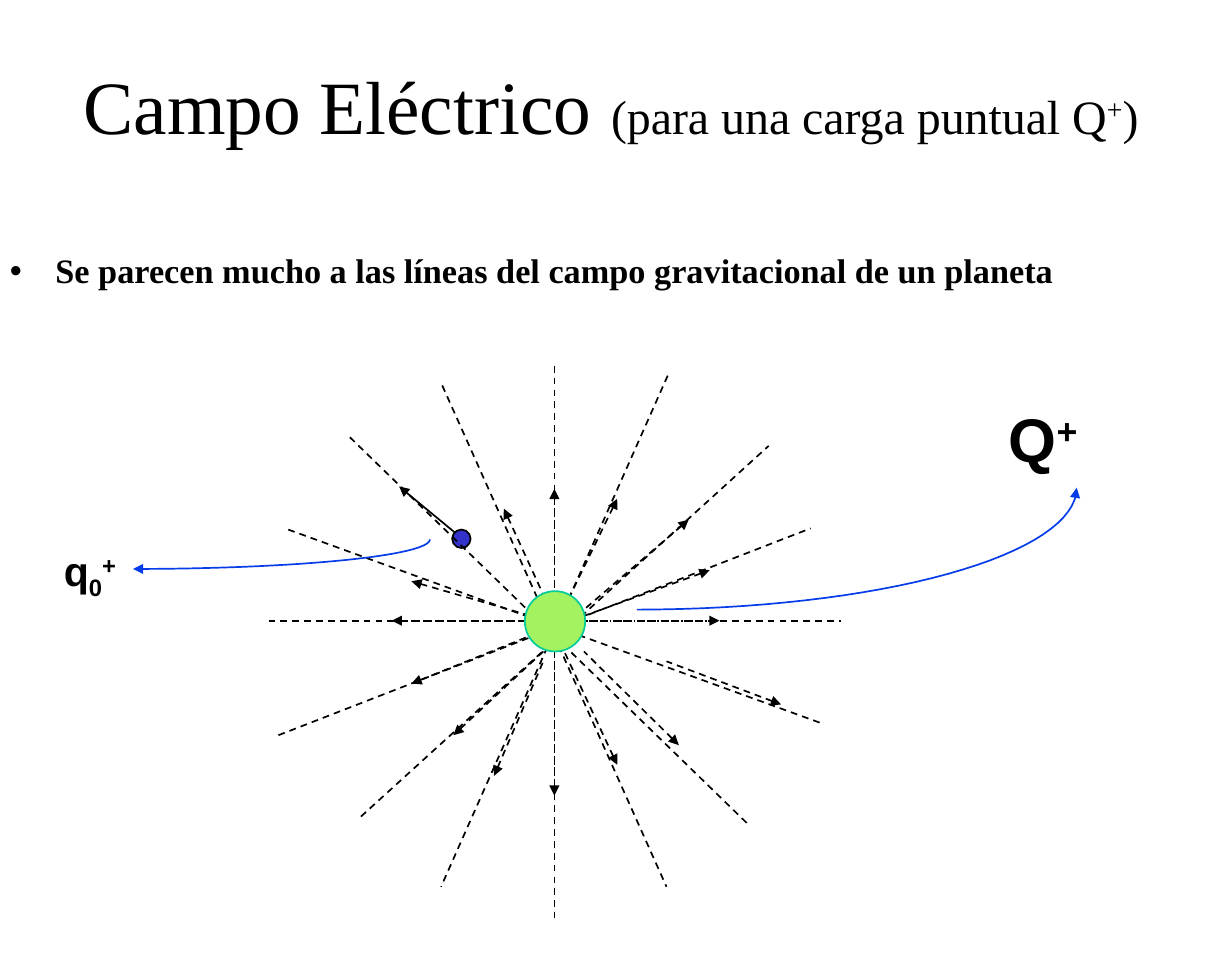
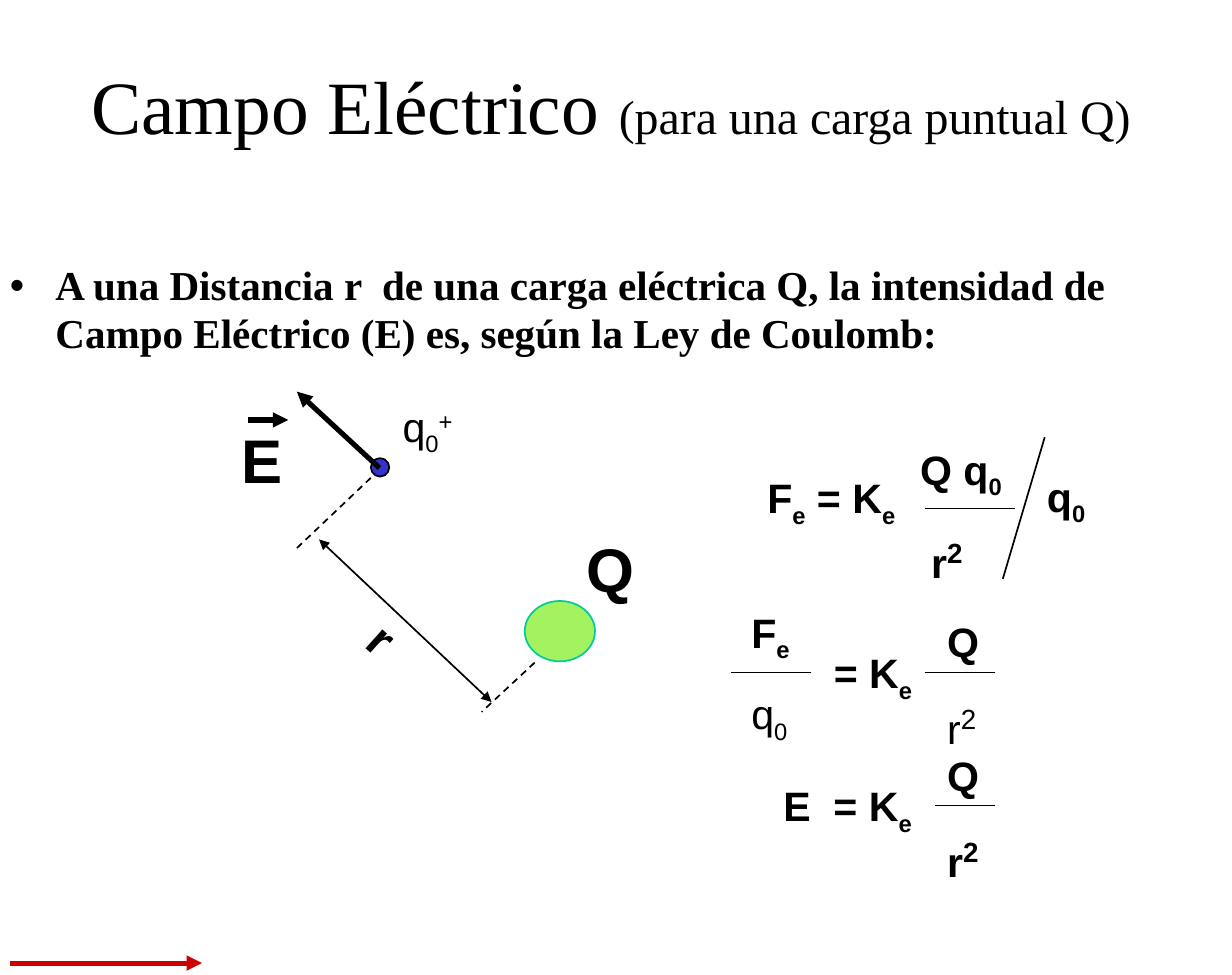
import math
from dataclasses import dataclass

from lxml import etree
from pptx import Presentation
from pptx.dml.color import RGBColor
from pptx.enum.dml import MSO_LINE
from pptx.enum.shapes import MSO_CONNECTOR, MSO_SHAPE
from pptx.enum.text import MSO_ANCHOR, MSO_AUTO_SIZE, PP_ALIGN
from pptx.oxml.ns import qn
from pptx.util import Inches, Pt

STRAIGHT = MSO_CONNECTOR.STRAIGHT
ELLIPSE = MSO_SHAPE.OVAL
DASH = MSO_LINE.DASH
DOT = MSO_LINE.ROUND_DOT
MIDDLE = MSO_ANCHOR.MIDDLE
NO_AUTOFIT = MSO_AUTO_SIZE.NONE
CENTER = PP_ALIGN.CENTER
LEFT = PP_ALIGN.LEFT


@dataclass(frozen=True)
class Theme:
    ink: str = "000000"
    charge: str = "A3F25F"
    charge_edge: str = "00CC99"
    probe: str = "3333CC"
    pointer: str = "063DE8"
    accent: str = "CC0000"
    serif: str = "Times New Roman"
    sans: str = "Arial"
    title: int = 44
    subtitle: int = 28
    bullet: int = 20
    bullet_large: int = 24
    symbol: int = 36
    distance: int = 28
    formula: int = 24
    exponent: int = 28
    thin: int = 1
    thick: int = 3
    line_spacing: float = 0.97


THEME = Theme()
BASELINES = {"_": -25000, "^": 30000}  # the mark shifts the next character


@dataclass(frozen=True)
class Formula:
    """One line of a formula, with _ and ^ marking sub- and superscripts."""
    markup: str
    size: int = THEME.formula
    bold: bool = True
    indent: float = 0
    exponent_size: int = 0
    space_before: float = 0


# ---------- text ----------

def split_markup(markup):
    """Return [text, baseline] pairs, such as q_0 -> [q, 0], [0, -25000]."""
    pieces, baseline = [], 0
    for character in markup:
        if character in BASELINES:
            baseline = BASELINES[character]
        elif baseline or not pieces or pieces[-1][1]:
            pieces.append([character, baseline])
            baseline = 0
        else:
            pieces[-1][0] += character
    return pieces


def add_runs(paragraph, markup, font_name, size, bold=False, exponent_size=0):
    for text, baseline in split_markup(markup):
        run = paragraph.add_run()
        run.text = text
        font = run.font
        font.name = font_name
        font.size = Pt(exponent_size if baseline > 0 and exponent_size else size)
        font.bold = bold
        font.color.rgb = RGBColor.from_string(THEME.ink)
        if baseline:
            run._r.get_or_add_rPr().set("baseline", str(baseline))


def place_placeholder(placeholder, left, top, width, height):
    placeholder.left, placeholder.top = Inches(left), Inches(top)
    placeholder.width, placeholder.height = Inches(width), Inches(height)
    text_frame = placeholder.text_frame
    text_frame.auto_size = NO_AUTOFIT
    text_frame.margin_left = text_frame.margin_right = 0
    text_frame.margin_top = text_frame.margin_bottom = 0
    paragraph = text_frame.paragraphs[0]
    paragraph.line_spacing = THEME.line_spacing
    paragraph.space_before = Pt(0)
    return paragraph


def set_title(slide, subtitle):
    title = slide.shapes.title
    paragraph = place_placeholder(title, 0, 0.46, 9.92, 0.83)
    title.text_frame.vertical_anchor = MIDDLE
    paragraph.alignment = CENTER
    add_runs(paragraph, "Campo Eléctrico ", THEME.serif, THEME.title)
    add_runs(paragraph, subtitle, THEME.serif, THEME.subtitle)


def set_bullet(slide, text, top, height, size):
    paragraph = place_placeholder(slide.placeholders[1], 0.08, top, 9.83, height)
    properties = paragraph._p.get_or_add_pPr()
    properties.set("marL", str(Inches(0.37)))
    properties.set("indent", str(-Inches(0.37)))
    paragraph.alignment = LEFT
    add_runs(paragraph, text, THEME.serif, size, bold=True)


def add_formula(slide, left, top, width, height, *formulas, rotation=0):
    box = slide.shapes.add_textbox(
        Inches(left), Inches(top), Inches(width), Inches(height))
    box.rotation = rotation
    text_frame = box.text_frame
    text_frame.word_wrap = True
    for index, formula in enumerate(formulas):
        paragraph = text_frame.add_paragraph() if index else text_frame.paragraphs[0]
        if formula.indent:
            paragraph._p.get_or_add_pPr().set("marL", str(Inches(formula.indent)))
        paragraph.space_before = Pt(formula.space_before)
        add_runs(paragraph, formula.markup, THEME.sans, formula.size,
                 formula.bold, formula.exponent_size)


def add_fraction(slide, left, top, width, height, numerator, denominator, bar):
    add_formula(slide, left, top, width, height, numerator, denominator)
    bar_left, bar_right, bar_top = bar
    add_line(slide, (bar_left, bar_top), (bar_right, bar_top))


# ---------- lines and shapes ----------

def style_line(shape, color, width, dash=None, head=False, tail=False):
    line = shape.line
    line.color.rgb = RGBColor.from_string(color)
    line.width = Pt(width)
    if dash:
        line.dash_style = dash
    for wanted, tag in ((head, "a:headEnd"), (tail, "a:tailEnd")):
        if wanted:
            etree.SubElement(line._get_or_add_ln(), qn(tag), type="triangle")


def add_line(slide, start, end, color=THEME.ink, width=THEME.thin, **ends):
    x1, y1, x2, y2 = (Inches(value) for value in (*start, *end))
    connector = slide.shapes.add_connector(STRAIGHT, x1, y1, x2, y2)
    style_line(connector, color, width, **ends)
    etree.SubElement(connector._element.spPr, qn("a:effectLst"))


def add_ball(slide, left, top, width, height, fill, edge):
    ball = slide.shapes.add_shape(
        ELLIPSE, Inches(left), Inches(top), Inches(width), Inches(height))
    ball.shadow.inherit = False
    ball.fill.solid()
    ball.fill.fore_color.rgb = RGBColor.from_string(fill)
    style_line(ball, edge, THEME.thin)


def add_charge(slide, left, top, width):
    add_ball(slide, left, top, width, 0.49, THEME.charge, THEME.charge_edge)


def add_probe(slide, left, top):
    add_ball(slide, left, top, 0.15, 0.15, THEME.probe, THEME.ink)


def add_pointer(slide, left, top, width, height, steps=32, **ends):
    """Draw the lower right quarter of an ellipse, from right to bottom."""
    angles = [math.pi / 2 * step / steps for step in range(steps + 1)]
    points = [(Inches(left + width * math.cos(angle)),
               Inches(top + height * math.sin(angle))) for angle in angles]
    builder = slide.shapes.build_freeform(*points[0])
    builder.add_line_segments(points[1:], close=False)
    curve = builder.convert_to_shape()
    curve.shadow.inherit = False
    curve.fill.background()
    style_line(curve, THEME.pointer, THEME.thin, **ends)


# ---------- slides ----------

# Both ends of each field line through the charge
FIELD_LINES = [
    ((2.93, 6.63), (6.24, 3.62)), ((4.5, 2.97), (4.5, 7.45)),
    ((3.59, 3.13), (5.41, 7.2)), ((2.84, 3.55), (6.08, 6.7)),
    ((2.34, 4.3), (6.66, 5.87)), ((2.18, 5.04), (6.83, 5.04)),
    ((2.26, 5.97), (6.58, 4.29)), ((5.42, 3.05), (3.58, 7.2)),
]

# Tip and foot of each dashed field arrow
FIELD_ARROWS = [
    ((4.09, 4.13), (4.58, 5.2)), ((4.5, 3.97), (4.5, 5.12)),
    ((5.01, 4.05), (4.49, 5.12)), ((5.59, 4.22), (4.74, 4.95)),
    ((5.76, 4.63), (4.66, 5.03)), ((3.34, 4.72), (4.41, 5.03)),
    ((3.18, 5.04), (4.33, 5.04)), ((3.34, 5.55), (4.41, 5.12)),
    ((3.68, 5.97), (4.41, 5.29)), ((4.01, 6.3), (4.41, 5.37)),
    ((4.5, 6.46), (4.5, 5.37)), ((5.01, 6.21), (4.58, 5.29)),
    ((5.51, 6.05), (4.74, 5.29)), ((6.34, 5.72), (5.41, 5.37)),
]


def build_field_lines(slide):
    set_title(slide, "(para una carga puntual Q^+)")
    set_bullet(slide, "Se parecen mucho a las líneas del campo gravitacional "
               "de un planeta", 2.04, 0.58, THEME.bullet)

    # Field around the charge
    add_line(slide, (3.76, 4.38), (3.24, 3.95), tail=True)
    for tip, foot in FIELD_ARROWS:
        add_line(slide, tip, foot, dash=DASH, head=True)
    add_line(slide, (5.84, 5.04), (4.74, 5.04), dash=DOT, head=True)
    add_probe(slide, 3.67, 4.3)
    for start, end in FIELD_LINES:
        add_line(slide, start, end, dash=DASH)
    add_charge(slide, 4.26, 4.8, 0.49)

    # Labels and their pointers
    add_pointer(slide, 5.17, 3.96, 3.57, 0.99, head=True)
    add_formula(slide, 8.09, 3.21, 0.84, 0.7, Formula("Q^+", THEME.symbol))
    add_pointer(slide, 1.08, 4.38, 2.41, 0.24, tail=True)
    add_formula(slide, 0.42, 4.38, 0.84, 0.55, Formula("q_0^+"))


def build_coulomb_law(slide):
    set_title(slide, "(para una carga puntual Q)")
    set_bullet(slide, "A una Distancia r  de una carga eléctrica Q, la intensidad "
               "de Campo Eléctrico (E) es, según la Ley de Coulomb:",
               2.13, 1, THEME.bullet_large)

    # Charge, probe and the distance between them
    add_charge(slide, 4.26, 4.88, 0.57)
    add_probe(slide, 3.01, 3.72)
    add_line(slide, (3.01, 3.88), (2.41, 4.45), dash=DASH)
    add_line(slide, (4.34, 5.38), (3.91, 5.78), dash=DASH)
    add_line(slide, (2.59, 4.38), (3.99, 5.7), head=True, tail=True)
    add_formula(slide, 2.92, 4.96, 0.51, 0.56, Formula("r", THEME.distance),
                rotation=42)
    add_formula(slide, 4.66, 4.26, 0.84, 0.7, Formula("Q", THEME.symbol))
    add_formula(slide, 3.17, 3.21, 0.84, 0.55, Formula("q_0^+", bold=False))

    # Field vector E
    add_line(slide, (3.08, 3.8), (2.41, 3.18), width=THEME.thick, tail=True)
    add_formula(slide, 1.86, 3.38, 0.67, 0.7, Formula("E", THEME.symbol))
    add_line(slide, (2.01, 3.41), (2.34, 3.41), width=THEME.thick, tail=True)

    # Force divided by the probe charge
    space = 0.09
    charge = Formula("Q", indent=space)
    squared, squared_light = (
        Formula("r^2", bold=bold, indent=space, exponent_size=THEME.exponent,
                space_before=17.5) for bold in (True, False))
    add_formula(slide, 6.13, 3.79, 2.26, 0.55, Formula("F_e = K_e"))
    add_fraction(slide, 7.37, 3.56, 1.01, 1.26, Formula("Q q_0"), squared,
                 (7.51, 8.24, 4.13))
    add_line(slide, (8.48, 3.55), (8.14, 4.7))
    add_formula(slide, 8.4, 3.78, 0.84, 0.55, Formula("q_0"))

    # Force per unit of charge
    add_fraction(slide, 6, 4.88, 2.93, 1.22, Formula("F_e"),
                 Formula("q_0", bold=False, space_before=15), (5.93, 6.58, 5.46))
    add_formula(slide, 6.67, 5.21, 0.93, 0.55, Formula("= K_e"))
    add_fraction(slide, 7.5, 4.96, 0.76, 1.21, charge, squared_light,
                 (7.51, 8.08, 5.46))

    # Field strength
    add_formula(slide, 6.17, 6.29, 1.76, 0.55, Formula("E  = K_e", indent=space))
    add_fraction(slide, 7.5, 6.04, 0.76, 1.21, charge, squared,
                 (7.59, 8.08, 6.54))

    # Red arrow at the foot
    add_line(slide, (0.08, 7.82), (1.64, 7.82), THEME.accent, THEME.thick, tail=True)


def main():
    presentation = Presentation()
    presentation.slide_width = Inches(10)
    presentation.slide_height = Inches(95 / 12)
    layout = presentation.slide_layouts[1]
    field_slide = presentation.slides.add_slide(layout)
    build_field_lines(field_slide)
    coulomb_slide = presentation.slides.add_slide(layout)
    build_coulomb_law(coulomb_slide)
    presentation.save("out.pptx")


if __name__ == "__main__":
    main()
